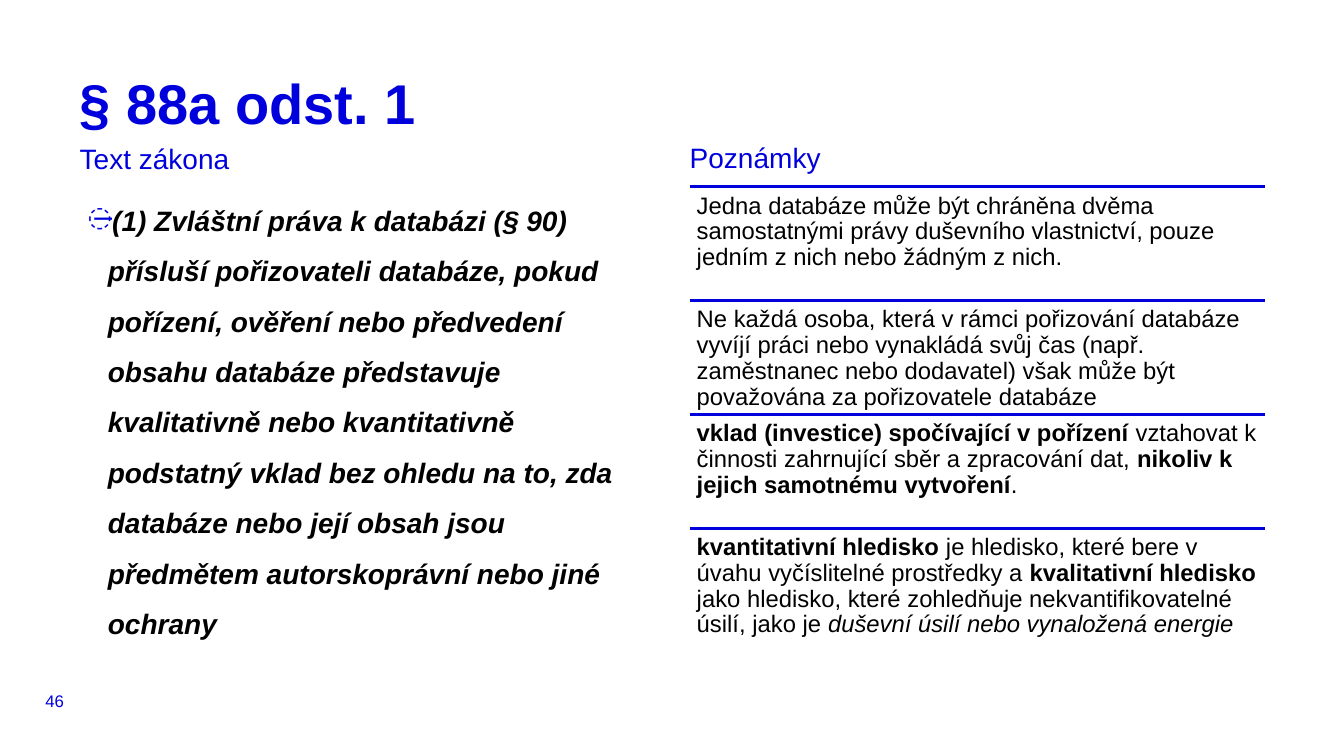
from dataclasses import dataclass

from lxml import etree
from pptx import Presentation
from pptx.dml.color import RGBColor
from pptx.enum import shapes, text
from pptx.oxml import ns
from pptx.util import Inches, Pt


@dataclass(frozen=True)
class Theme:
    font: str = "Arial"
    blue: RGBColor = RGBColor(0x00, 0x00, 0xDC)
    black: RGBColor = RGBColor(0x00, 0x00, 0x00)
    title: int = 40
    body: int = 20
    note: int = 17
    num: int = 12
    rule: int = 2


THEME = Theme()
LAW = (
    "(1) Zvláštní práva k databázi (§ 90) přísluší pořizovateli databáze, "
    "pokud pořízení, ověření nebo předvedení obsahu databáze představuje "
    "kvalitativně nebo kvantitativně podstatný vklad bez ohledu na to, zda "
    "databáze nebo její obsah jsou předmětem autorskoprávní nebo jiné ochrany"
)
NOTES = [
    [("Jedna databáze může být chráněna dvěma samostatnými právy duševního "
      "vlastnictví, pouze jedním z nich nebo žádným z nich.", "")],
    [("Ne každá osoba, která v rámci pořizování databáze vyvíjí práci nebo "
      "vynakládá svůj čas (např. zaměstnanec nebo dodavatel) však může být "
      "považována za pořizovatele databáze", "")],
    [("vklad (investice) spočívající v pořízení", "b"),
     (" vztahovat k činnosti zahrnující sběr a zpracování dat, ", ""),
     ("nikoliv k jejich samotnému vytvoření", "b"),
     (".", "")],
    [("kvantitativní hledisko", "b"),
     (" je hledisko, které bere v úvahu vyčíslitelné prostředky a ", ""),
     ("kvalitativní hledisko", "b"),
     (" jako hledisko, které zohledňuje nekvantifikovatelné úsilí, jako je ", ""),
     ("duševní úsilí nebo vynaložená energie", "i")],
]


def add_text(slide, box, runs, size, color, spacing=None, inset=0, wrap=True):
    frame = slide.shapes.add_textbox(*map(Inches, box)).text_frame
    frame.word_wrap = wrap
    frame.margin_left = frame.margin_right = Inches(inset)
    frame.margin_top = frame.margin_bottom = Inches(inset)
    para = frame.paragraphs[0]
    para.line_spacing = spacing
    para.font.name = THEME.font
    para.font.size = Pt(size)
    para.font.color.rgb = color
    for words, style in runs:
        run = para.add_run()
        run.text = words
        if "b" in style:
            run.font.bold = True
        if "i" in style:
            run.font.italic = True
    return frame


def add_bullet(para, mark, color):
    props = para._p.get_or_add_pPr()
    props.set("marL", str(Inches(0.28)))
    props.set("indent", str(Inches(-0.2)))
    tint = etree.Element(ns.qn("a:buClr"))
    etree.SubElement(tint, ns.qn("a:srgbClr")).set("val", str(color))
    char = etree.Element(ns.qn("a:buChar"))
    char.set("char", mark)
    last = props.find(ns.qn("a:defRPr"))
    last.addprevious(tint)
    last.addprevious(char)


def add_rule(slide, left, top, width):
    line = slide.shapes.add_connector(
        shapes.MSO_CONNECTOR.STRAIGHT,
        *map(Inches, (left, top, left + width, top)))
    line.line.color.rgb = THEME.blue
    line.line.width = Pt(THEME.rule)
    etree.SubElement(line._element.spPr, ns.qn("a:effectLst"))


def add_head(slide, box, words):
    add_text(slide, box, [(words, "")], THEME.body, THEME.blue, Pt(23))


def add_law(slide, box):
    frame = add_text(slide, box, [(LAW, "bi")], THEME.body, THEME.black, 1.5)
    add_bullet(frame.paragraphs[0], "̶", THEME.blue)


def add_notes(slide, box):
    left, top, width, height = box
    step = height / len(NOTES)
    for row, runs in enumerate(NOTES):
        y = top + row * step
        add_rule(slide, left, y, width)
        add_text(slide, (left, y, width, step), runs,
                 THEME.note, THEME.black, 0.9, 0.07)


def add_number(slide, box, words):
    frame = add_text(slide, box, [(words, "")], THEME.num, THEME.blue, wrap=False)
    frame.vertical_anchor = text.MSO_ANCHOR.MIDDLE


def main():
    deck = Presentation()
    deck.slide_width, deck.slide_height = Inches(13.33), Inches(7.5)
    slide = deck.slides.add_slide(deck.slide_layouts[6])
    left, right, width = 0.79, 6.84, 5.71
    add_text(slide, (left, 0.79, 11.76, 0.49), [("§ 88a odst. 1", "b")],
             THEME.title, THEME.blue, Pt(40))
    add_head(slide, (left, 1.42, width, 0.3), "Text zákona")
    add_head(slide, (right, 1.41, width, 0.3), "Poznámky")
    add_law(slide, (left, 1.85, width, 4.53))
    add_notes(slide, (right, 1.85, width, 4.52))
    add_number(slide, (0.45, 6.81, 0.28, 0.28), "46")
    deck.save("out.pptx")


if __name__ == "__main__":
    main()
